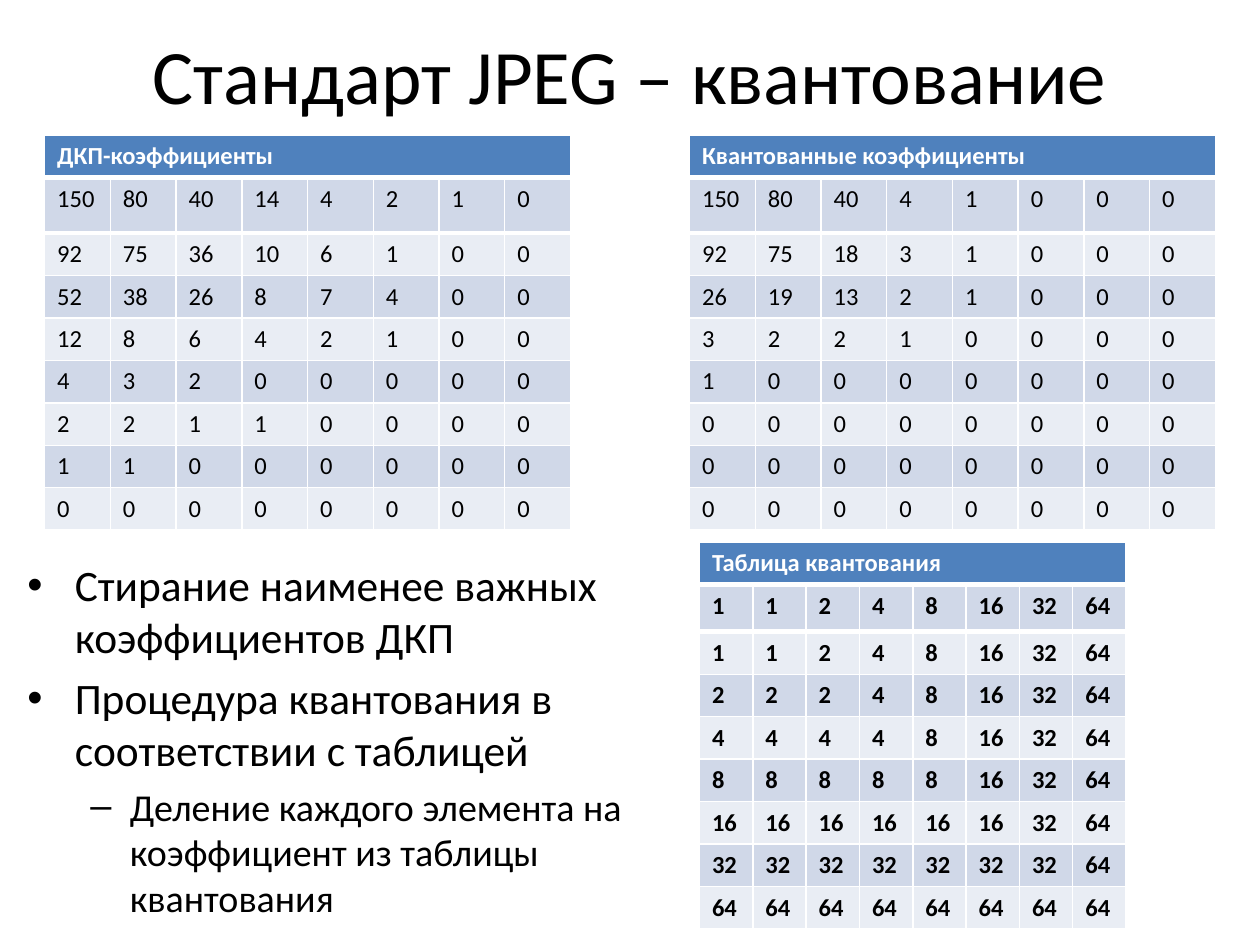
from lxml import etree
from pptx import Presentation
from pptx.dml.color import RGBColor
from pptx.enum.text import MSO_ANCHOR, MSO_AUTO_SIZE, PP_ALIGN
from pptx.oxml.ns import qn
from pptx.util import Cm, Pt

MIDDLE, TOP = MSO_ANCHOR.MIDDLE, MSO_ANCHOR.TOP
CENTER = PP_ALIGN.CENTER
FIXED = MSO_AUTO_SIZE.NONE

COLORS = {"text": "000000", "white": "FFFFFF", "head": "4F81BD",
          "dark": "D0D8E8", "light": "E9EDF4"}
FONT = "Calibri"

TITLE = "Стандарт JPEG – квантование"
POINTS = [
    (0, "Стирание наименее важных коэффициентов ДКП"),
    (0, "Процедура квантования в соответствии с таблицей"),
    (1, "Деление каждого элемента на коэффициент из таблицы квантования"),
]
SIZES = [24.8, 21.7]

SOURCE = [
    [150, 80, 40, 14, 4, 2, 1, 0],
    [92, 75, 36, 10, 6, 1, 0, 0],
    [52, 38, 26, 8, 7, 4, 0, 0],
    [12, 8, 6, 4, 2, 1, 0, 0],
    [4, 3, 2, 0, 0, 0, 0, 0],
    [2, 2, 1, 1, 0, 0, 0, 0],
    [1, 1, 0, 0, 0, 0, 0, 0],
    [0, 0, 0, 0, 0, 0, 0, 0],
]
RESULT = [
    [150, 80, 40, 4, 1, 0, 0, 0],
    [92, 75, 18, 3, 1, 0, 0, 0],
    [26, 19, 13, 2, 1, 0, 0, 0],
    [3, 2, 2, 1, 0, 0, 0, 0],
    [1, 0, 0, 0, 0, 0, 0, 0],
    [0, 0, 0, 0, 0, 0, 0, 0],
    [0, 0, 0, 0, 0, 0, 0, 0],
    [0, 0, 0, 0, 0, 0, 0, 0],
]
STEPS = [1, 1, 2, 4, 8, 16, 32, 64]
DIVISORS = [[max(a, b) for b in STEPS] for a in STEPS]

ROW = 0.79
TABLES = [
    ("ДКП-коэффициенты", SOURCE, (0.9, 2.72), 10.6, 1.12, False),
    ("Квантованные коэффициенты", RESULT, (13.9, 2.72), 10.6, 1.12, False),
    ("Таблица квантования", DIVISORS, (14.1, 10.93), 8.6, 0.95, True),
]


def write(para, text, size=14, color="text", bold=False, align=None, level=0):
    run = para.add_run()
    run.text = text
    run.font.name = FONT
    run.font.size = Pt(size)
    run.font.bold = bold
    run.font.color.rgb = RGBColor.from_string(COLORS[color])
    para.alignment = align
    para.level = level


def place(shape, left, top, width, height, anchor):
    shape.left, shape.top = Cm(left), Cm(top)
    shape.width, shape.height = Cm(width), Cm(height)
    frame = shape.text_frame
    frame.word_wrap = True
    frame.auto_size = FIXED
    frame.vertical_anchor = anchor
    return frame


def paint(cell, color):
    cell.fill.solid()
    cell.fill.fore_color.rgb = RGBColor.from_string(COLORS[color])


def edge(cell, side):
    line = etree.Element(qn("a:" + side), w=str(Pt(3)))
    fill = etree.SubElement(line, qn("a:solidFill"))
    etree.SubElement(fill, qn("a:srgbClr"), val=COLORS["white"])
    cell._tc.get_or_add_tcPr().insert(0, line)


def add_grid(slide, name, values, spot, width, first, bold):
    count = len(values[0])
    heights = [ROW, first] + [ROW] * (len(values) - 1)
    left, top = spot
    grid = slide.shapes.add_table(len(heights), count, Cm(left), Cm(top),
                                  Cm(width), Cm(sum(heights))).table
    for col in grid.columns:
        col.width = Cm(width / count)
    for row, height in zip(grid.rows, heights):
        row.height = Cm(height)

    head = grid.cell(0, 0)
    head.merge(grid.cell(0, count - 1))
    paint(head, "head")
    write(head.text_frame.paragraphs[0], name, color="white", bold=True)

    for r, line in enumerate(values, 1):
        for c, value in enumerate(line):
            cell = grid.cell(r, c)
            paint(cell, "dark" if r % 2 else "light")
            write(cell.text_frame.paragraphs[0], str(value), bold=bold)
    for c in range(count):
        edge(grid.cell(0, c), "lnB")
        edge(grid.cell(1, c), "lnT")


def main():
    deck = Presentation()
    deck.slide_width, deck.slide_height = Cm(25.4), Cm(19.05)
    slide = deck.slides.add_slide(deck.slide_layouts[1])

    title = place(slide.shapes.title, 1.27, 0.3, 22.86, 2.36, MIDDLE)
    write(title.paragraphs[0], TITLE, size=44, align=CENTER)

    body = place(slide.placeholders[1], 0.3, 11.13, 12.8, 7.04, TOP)
    for i, (level, text) in enumerate(POINTS):
        para = body.add_paragraph() if i else body.paragraphs[0]
        write(para, text, size=SIZES[level], level=level)

    for entry in TABLES:
        add_grid(slide, *entry)
    deck.save("out.pptx")


if __name__ == "__main__":
    main()
